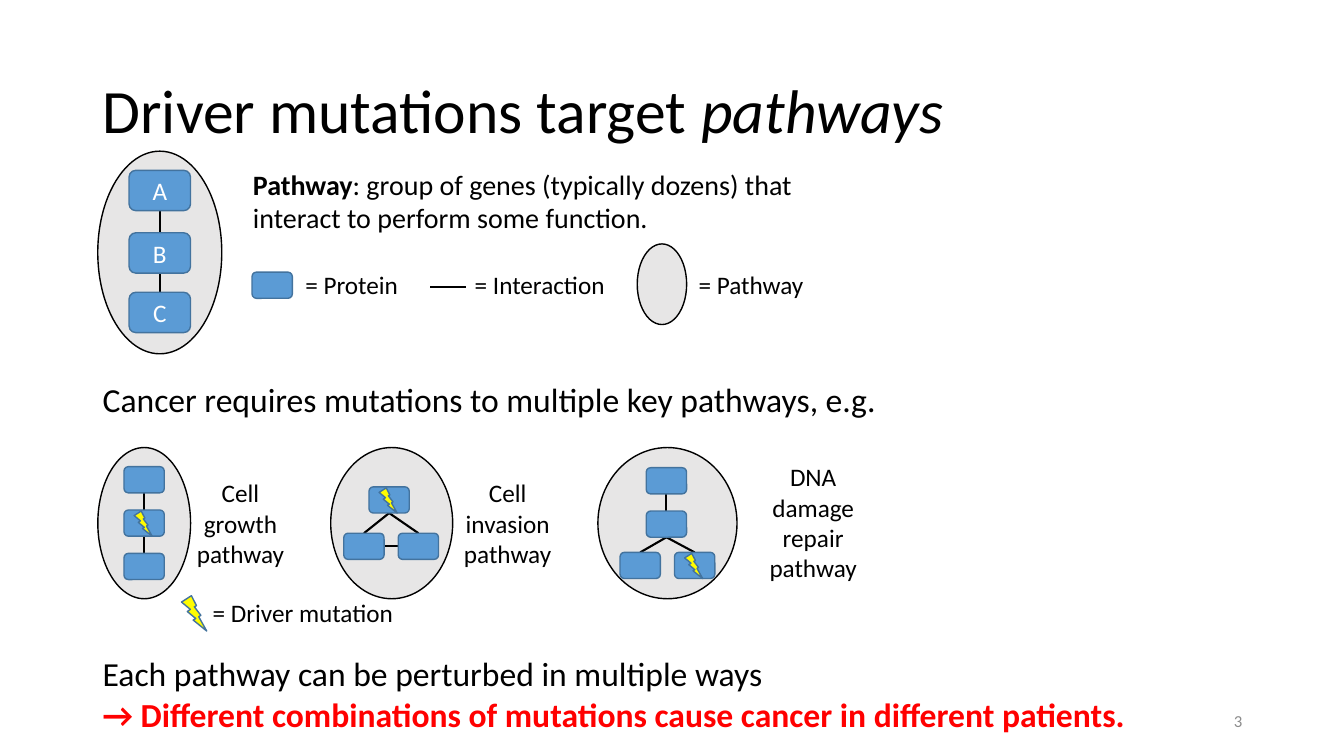
from dataclasses import dataclass

from lxml import etree
from pptx import Presentation
from pptx import util as u
from pptx.dml.color import RGBColor
from pptx.enum import shapes, text
from pptx.oxml import ns


@dataclass(frozen=True)
class Theme:
    font: str = "Calibri"
    ink: str = "000000"
    white: str = "FFFFFF"
    gray: str = "8C8C8C"
    red: str = "FF0000"
    oval: str = "E7E6E6"
    blue: str = "5B9BD5"
    edge: str = "43739E"
    bolt: str = "FFFC00"
    title: int = 44
    body: int = 24
    lead: int = 20
    label: int = 18
    note: int = 12
    thin: float = 1
    link: float = 1.5


T = Theme()
Kind = shapes.MSO_SHAPE
Align = text.PP_ALIGN
Anchor = text.MSO_ANCHOR
NODE = (0.4, 0.26)


def rgb(code):
    return RGBColor.from_string(code)


def style(par, size, color, align=Align.LEFT):
    par.alignment = align
    par.font.name = T.font
    par.font.size = u.Pt(size)
    par.font.color.rgb = rgb(color)


def write(slide, box, lines, size, color=T.ink, align=Align.LEFT,
          anchor=Anchor.TOP, wrap=True):
    frame = slide.shapes.add_textbox(*map(u.Inches, box)).text_frame
    frame.word_wrap = wrap
    frame.vertical_anchor = anchor
    for i, line in enumerate(lines):
        par = frame.add_paragraph() if i else frame.paragraphs[0]
        par.text = line
        style(par, size, color, align)
    return frame.paragraphs


def draw(slide, kind, box, fill, edge):
    shape = slide.shapes.add_shape(kind, *map(u.Inches, box))
    shape.shadow.inherit = False
    shape.fill.solid()
    shape.fill.fore_color.rgb = rgb(fill)
    shape.line.color.rgb = rgb(edge)
    shape.line.width = u.Pt(T.thin)
    return shape


def oval(slide, box):
    draw(slide, Kind.OVAL, box, T.oval, T.ink)


def bolt(slide, box):
    draw(slide, Kind.LIGHTNING_BOLT, box, T.bolt, T.edge)


def node(slide, box, name=""):
    shape = draw(slide, Kind.ROUNDED_RECTANGLE, box, T.blue, T.edge)
    if name:
        frame = shape.text_frame
        frame.vertical_anchor = Anchor.MIDDLE
        frame.paragraphs[0].text = name
        style(frame.paragraphs[0], T.label, T.white, Align.CENTER)
    return shape


def line(slide, x1=0, y1=0, x2=0, y2=0):
    ends = map(u.Inches, (x1, y1, x2, y2))
    link = slide.shapes.add_connector(shapes.MSO_CONNECTOR.STRAIGHT, *ends)
    link.line.color.rgb = rgb(T.ink)
    link.line.width = u.Pt(T.link)
    etree.SubElement(link._element.spPr, ns.qn("a:effectLst"))
    return link


def pathway(slide, box, spots, joins, size=NODE, names="", hit=None):
    left, top = box[:2]
    oval(slide, box)
    links = [line(slide) for _ in joins]
    nodes = []
    for i, (x, y) in enumerate(spots):
        place = (left + x, top + y, *size)
        nodes.append(node(slide, place, names[i:i + 1]))
    for link, (a, side, b, end) in zip(links, joins):
        link.begin_connect(nodes[a], side)
        link.end_connect(nodes[b], end)
    if hit is not None:
        x, y = spots[hit]
        bolt(slide, (left + x + 0.1, top + y + 0.01, 0.18, 0.25))


def heading(slide, box):
    par = write(slide, box, ["Driver mutations target "], T.title,
                anchor=Anchor.MIDDLE)[0]
    par.line_spacing = 0.9
    run = par.add_run()
    run.text = "pathways"
    run.font.italic = True


def meaning(slide, box):
    left, top = box[:2]
    pathway(slide, (left, top, 1.23, 2.01),
            [(0.31, 0.19), (0.31, 0.81), (0.31, 1.4)],
            [(0, 2, 2, 0)], (0.61, 0.4), "ABC")
    par = write(slide, (left + 1.44, top + 0.11, 6.38, 0.77), ["Pathway"],
                T.lead)[0]
    par.runs[0].font.bold = True
    run = par.add_run()
    run.text = (": group of genes (typically dozens) that "
                "interact to perform some function.")


def legend(slide, box):
    left, top = box[:2]
    node(slide, (left, top + 0.28, *NODE))
    line(slide, left + 2.12, top + 0.43, left + 1.76, top + 0.43)
    oval(slide, (left + 3.82, top, 0.49, 0.8))
    for x, width, name in ((0.43, 1.13, "Protein"),
                           (2.11, 1.51, "Interaction"),
                           (4.33, 1.25, "Pathway")):
        write(slide, (left + x, top + 0.2, width, 0.4), [f"= {name}"],
              T.label, wrap=False)


def cases(slide, box):
    left, top = box[:2]
    tall = 1.5
    pathway(slide, (left, top, 0.92, tall),
            [(0.26, 0.19), (0.26, 0.62), (0.26, 1.05)],
            [(0, 2, 2, 0)], hit=1)
    pathway(slide, (left + 2.31, top, 1.21, tall),
            [(0.38, 0.39), (0.13, 0.85), (0.67, 0.85)],
            [(0, 2, 1, 0), (0, 2, 2, 0), (1, 3, 2, 1)], hit=0)
    pathway(slide, (left + 4.96, top, 1.38, tall),
            [(0.48, 0.2), (0.48, 0.63), (0.22, 1.04), (0.76, 1.04)],
            [(0, 2, 1, 0), (1, 2, 2, 0), (1, 2, 3, 0)], hit=3)
    for x, y, width, high, name in (
            (0.79, 0.25, 1.25, 1.01, "Cell growth pathway"),
            (3.44, 0.25, 1.25, 1.01, "Cell invasion pathway"),
            (6.37, 0.09, 1.45, 1.31, "DNA damage repair pathway")):
        write(slide, (left + x, top + y, width, high), [name], T.label,
              align=Align.CENTER)
    bolt(slide, (left + 0.83, top + 1.47, 0.25, 0.35))
    write(slide, (left + 1.04, top + 1.44, 2.01, 0.4),
          ["= Driver mutation"], T.label, wrap=False)


def closing(slide, box):
    pars = write(slide, box, [
        "Each pathway can be perturbed in multiple ways",
        "→ Different combinations of mutations cause cancer "
        "in different patients."], T.body)
    pars[1].font.bold = True
    pars[1].font.color.rgb = rgb(T.red)


def main():
    deck = Presentation()
    deck.slide_width = u.Inches(13.33)
    deck.slide_height = u.Inches(7.5)
    slide = deck.slides.add_slide(deck.slide_layouts[6])
    heading(slide, (0.92, 0.4, 11.5, 1.45))
    write(slide, (9.42, 6.95, 3, 0.4), ["3"], T.note, T.gray, Align.RIGHT,
          Anchor.MIDDLE)
    closing(slide, (0.92, 6.43, 11.5, 0.91))
    write(slide, (0.92, 3.71, 11.5, 0.5),
          ["Cancer requires mutations to multiple key pathways, e.g."],
          T.body)
    meaning(slide, (0.97, 1.5, 7.82, 2.01))
    legend(slide, (2.5, 2.42, 5.58, 0.8))
    cases(slide, (0.97, 4.44, 7.82, 1.84))
    deck.save("out.pptx")


if __name__ == "__main__":
    main()
